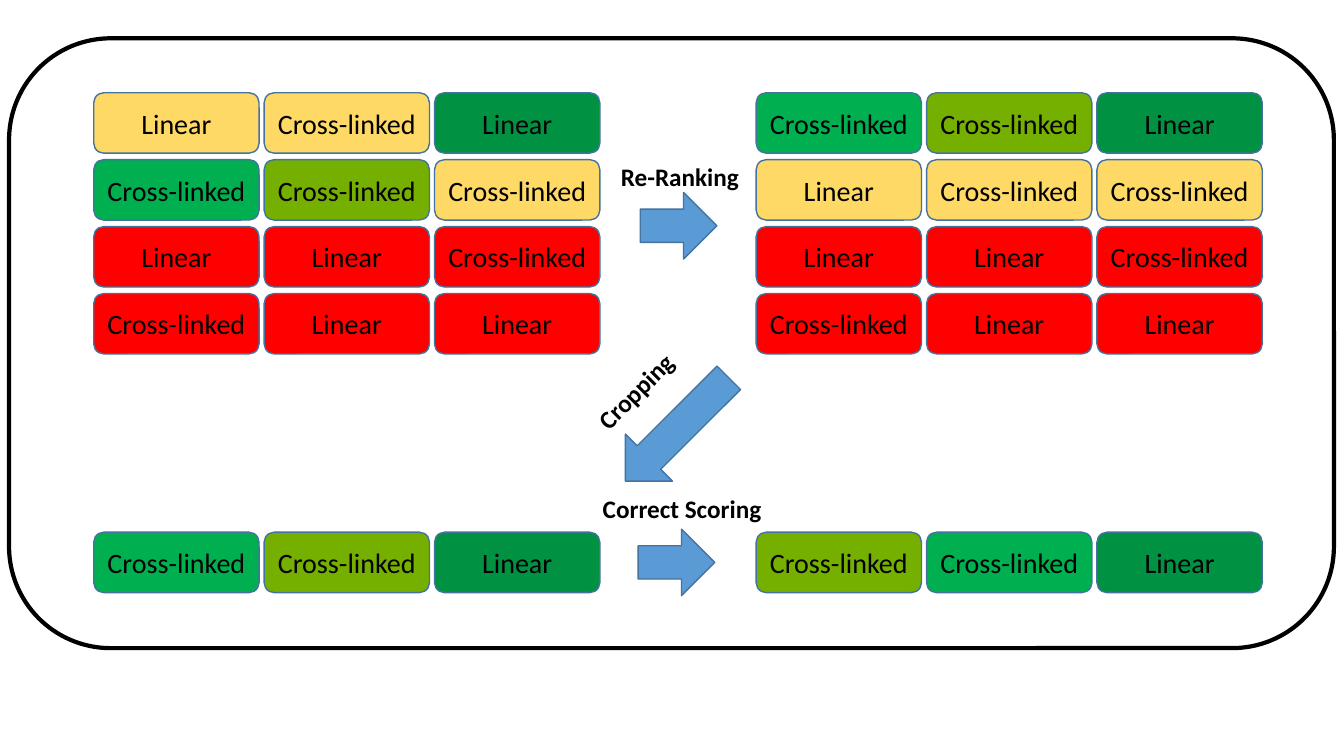
from pptx import Presentation
from pptx.dml.color import RGBColor
from pptx.enum.shapes import MSO_SHAPE
from pptx.enum.text import MSO_ANCHOR, PP_ALIGN
from pptx.util import Inches, Pt

ROUND, ARROW = MSO_SHAPE.ROUNDED_RECTANGLE, MSO_SHAPE.RIGHT_ARROW
MIDDLE, CENTER, LEFT = MSO_ANCHOR.MIDDLE, PP_ALIGN.CENTER, PP_ALIGN.LEFT

COLORS = {
    "green": "00B050", "lime": "75B000", "dark": "009242",
    "yellow": "FFD966", "red": "FF0000",
    "arrow": "5B9BD5", "edge": "43739E", "black": "000000",
}
CELL_W, CELL_H = 1.64, 0.6
STEP_X, STEP_Y = 1.69, 0.664
LEFT_X, RIGHT_X, TOP_Y, CROPPED_Y = 0.93, 7.5, 0.92, 5.28

# Each cell is (linkage, colour)
L, X = "Linear", "Cross-linked"
REJECTED = [
    [(L, "red"), (L, "red"), (X, "red")],
    [(X, "red"), (L, "red"), (L, "red")],
]
RANKED = [
    [(L, "yellow"), (X, "yellow"), (L, "dark")],
    [(X, "green"), (X, "lime"), (X, "yellow")],
] + REJECTED
RERANKED = [
    [(X, "green"), (X, "lime"), (L, "dark")],
    [(L, "yellow"), (X, "yellow"), (X, "yellow")],
] + REJECTED
CROPPED = [[(X, "green"), (X, "lime"), (L, "dark")]]
SCORED = [[(X, "lime"), (X, "green"), (L, "dark")]]


def rgb(name):
    """Return the named colour."""
    return RGBColor.from_string(COLORS[name])


def add_box(slide, kind, box, fill=None, line="edge", width=1, rotation=0):
    """Add a preset shape in box (left, top, width, height)."""
    sp = slide.shapes.add_shape(kind, *map(Inches, box))
    sp.shadow.inherit = False
    sp.rotation = rotation
    if fill:
        sp.fill.solid()
        sp.fill.fore_color.rgb = rgb(fill)
    else:
        sp.fill.background()
    sp.line.color.rgb = rgb(line)
    sp.line.width = Pt(width)
    return sp


def write(sp, text, align, **fmt):
    """Put one formatted line of text in a shape."""
    p = sp.text_frame.paragraphs[0]
    p.alignment = align
    r = p.add_run()
    r.text = text
    r.font.color.rgb = rgb("black")
    for key, value in {"name": "Calibri", **fmt}.items():
        setattr(r.font, key, value)


def add_grid(slide, left, top, rows):
    """Draw rows of coloured cells from the given corner."""
    for i, row in enumerate(rows):
        for j, (text, color) in enumerate(row):
            box = (left + j * STEP_X, top + i * STEP_Y, CELL_W, CELL_H)
            sp = add_box(slide, ROUND, box, color)
            tf = sp.text_frame
            tf.vertical_anchor = MIDDLE
            tf.margin_left = tf.margin_right = Inches(0.02)
            write(sp, text, CENTER, size=Pt(20))


def add_step(slide, text, label_box, arrow_box, label_turn=0, arrow_turn=0):
    """Draw a block arrow and its bold label."""
    add_box(slide, ARROW, arrow_box, "arrow", rotation=arrow_turn)
    sp = slide.shapes.add_textbox(*map(Inches, label_box))
    sp.rotation = label_turn
    sp.text_frame.word_wrap = True
    write(sp, text, LEFT, size=Pt(18), bold=True)


def build_workflow(slide, box):
    """Draw the ranking workflow inside the frame box."""
    for left, top, rows in (
        (LEFT_X, TOP_Y, RANKED), (RIGHT_X, TOP_Y, RERANKED),
        (LEFT_X, CROPPED_Y, CROPPED), (RIGHT_X, CROPPED_Y, SCORED),
    ):
        add_grid(slide, left, top, rows)
    add_step(slide, "Re-Ranking", (6.06, 1.55, 1.44, 0.4),
             (6.35, 1.91, 0.76, 0.66))
    add_step(slide, "Cropping", (5.69, 3.57, 1.44, 0.4),
             (5.99, 3.93, 1.45, 0.66), label_turn=315, arrow_turn=135)
    add_step(slide, "Correct Scoring", (5.88, 4.84, 1.8, 0.4),
             (6.33, 5.25, 0.76, 0.66))
    add_box(slide, ROUND, box, line="black", width=3)


prs = Presentation()
prs.slide_width, prs.slide_height = Inches(13.33), Inches(7.5)
slide = prs.slides.add_slide(prs.slide_layouts[6])
build_workflow(slide, (0.09, 0.38, 13.14, 6.05))
prs.save("out.pptx")
